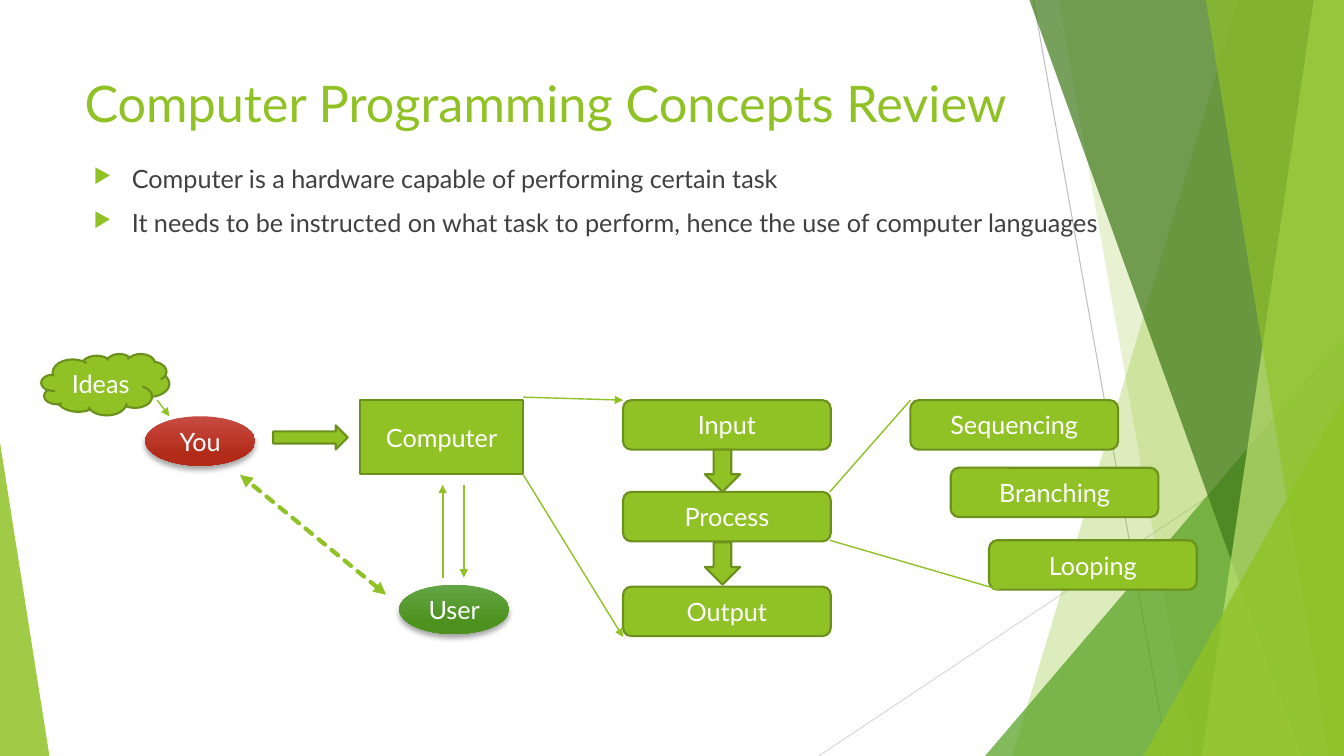
from pptx import Presentation
from pptx.dml.color import RGBColor
from pptx.enum.dml import MSO_LINE
from pptx.enum.shapes import MSO_CONNECTOR, MSO_SHAPE
from pptx.enum.text import MSO_ANCHOR, PP_ALIGN
from pptx.oxml.ns import qn
from pptx.util import Inches, Pt
from lxml import etree

ROUNDED = MSO_SHAPE.ROUNDED_RECTANGLE
DOWN = MSO_SHAPE.DOWN_ARROW
TRIANGLE = MSO_SHAPE.ISOSCELES_TRIANGLE
STRAIGHT = MSO_CONNECTOR.STRAIGHT
CENTER = PP_ALIGN.CENTER
LEFT = PP_ALIGN.LEFT
MIDDLE = MSO_ANCHOR.MIDDLE
TOP = MSO_ANCHOR.TOP
DASHED = MSO_LINE.SQUARE_DOT

GREEN, DARK_GREEN, WHITE, GRAY = "90C226", "6B901C", "FFFFFF", "404040"
WIDTH, HEIGHT = 13.33, 7.5


def paint(fill, *colors):
    """One colour gives a solid fill, two give a downward gradient."""
    if len(colors) == 1:
        fill.solid()
        fill.fore_color.rgb = RGBColor.from_string(colors[0])
        return
    fill.gradient()
    fill.gradient_angle = 270
    for stop, color, position in zip(fill.gradient_stops, colors, (0, 0.78)):
        stop.color.rgb = RGBColor.from_string(color)
        stop.position = position


def write_text(shape, text, size=18, color=WHITE, align=CENTER, anchor=MIDDLE, before=0):
    frame = shape.text_frame
    frame.word_wrap = True
    frame.vertical_anchor = anchor
    frame.text = text
    for paragraph in frame.paragraphs:
        paragraph.alignment = align
        paragraph.space_before = Pt(before)
        font = paragraph.runs[0].font
        font.name, font.size = "Lato", Pt(size)
        paint(font.fill, color)


presentation = Presentation()
presentation.slide_width, presentation.slide_height = Inches(WIDTH), Inches(HEIGHT)
slide = presentation.slides.add_slide(presentation.slide_layouts[6])
shapes = slide.shapes

# Connectors: start, end, colour, width, arrowheads (backdrop lines come first)
backdrop_lines = [
    (10.25, 0, 11.58, 7.5, "BFBFBF", 0.75, ""),
    (13.33, 4.03, 8.12, 7.5, "D9D9D9", 0.75, ""),
]
diagram_lines = [
    (4.39, 5.73, 4.39, 4.81, GREEN, 1.5, "tail"),
    (4.6, 4.81, 4.6, 5.73, GREEN, 1.5, "tail"),
    (3.83, 5.9, 2.38, 4.71, GREEN, 3, "head tail"),
    (1.56, 3.97, 1.68, 4.13, GREEN, 1, "tail"),
    (5.19, 3.94, 6.18, 3.97, GREEN, 1, "tail"),
    (5.19, 4.71, 6.18, 6.32, GREEN, 1, "tail"),
    (8.23, 4.88, 9.03, 3.97, GREEN, 1, ""),
    (8.23, 5.36, 9.91, 5.85, GREEN, 1, ""),
]
connectors = []
for x1, y1, x2, y2, color, width, ends in backdrop_lines + diagram_lines:
    connector = shapes.add_connector(STRAIGHT, Inches(x1), Inches(y1), Inches(x2), Inches(y2))
    paint(connector.line.fill, color)
    connector.line.width = Pt(width)
    properties = connector._element.spPr
    line = properties.find(qn("a:ln"))
    if "head" in ends:
        connector.line.dash_style = DASHED
        line.set("cap", "rnd")
    for end in ends.split():
        etree.SubElement(line, qn(f"a:{end}End"), type="triangle")
    etree.SubElement(properties, qn("a:effectLst"))
    connectors.append(connector)

# Backdrop bands reach the right edge: top x, bottom x, colour, opacity
# Backdrop triangles: left, top, width, apex position, colour, opacity
backdrop = [
    (12.28, 10.04, GREEN, 30),
    (10.5, 11.83, GREEN, 20),
    (9.77, 3.33, 3.56, 1, "54A021", 72),
    (10.21, 12.91, "3F7819", 70),
    (13.03, 11.92, "C0E474", 70),
    (11.96, 13.18, GREEN, 65),
    (11.34, 3.93, 1.99, 1, GREEN, 80),
    (0, 4.39, 0.49, 0, GREEN, 85),
]
for *outline, color, opacity in backdrop:
    if len(outline) == 2:
        top_x, bottom_x = outline
        builder = shapes.build_freeform(Inches(top_x), 0)
        corners = [(WIDTH, 0), (WIDTH, HEIGHT), (bottom_x, HEIGHT)]
        builder.add_line_segments([(Inches(x), Inches(y)) for x, y in corners], close=True)
        shape = builder.convert_to_shape()
    else:
        left, top, width, apex = outline
        shape = shapes.add_shape(TRIANGLE, Inches(left), Inches(top),
                                 Inches(width), Inches(HEIGHT - top))
        shape.adjustments[0] = apex
    paint(shape.fill, color)
    shape.line.fill.background()
    shape.shadow.inherit = False
    tint = shape._element.spPr.find(f"{qn('a:solidFill')}/{qn('a:srgbClr')}")
    etree.SubElement(tint, qn("a:alpha"), val=str(opacity * 1000))

# Title and bullet list
title = shapes.add_textbox(Inches(0.74), Inches(0.67), Inches(9.4), Inches(1.44))
write_text(title, "Computer Programming Concepts Review", size=36, color=GREEN,
           align=LEFT, anchor=TOP)
body = shapes.add_textbox(Inches(0.83), Inches(1.57), Inches(10.5), Inches(4.24))
write_text(body, "Computer is a hardware capable of performing certain task\n"
           "It needs to be instructed on what task to perform, hence the use of computer languages",
           color=GRAY, align=LEFT, anchor=TOP, before=10)
for paragraph in body.text_frame.paragraphs:
    properties = paragraph._p.get_or_add_pPr()
    properties.set("marL", str(Inches(0.38)))
    properties.set("indent", str(Inches(-0.38)))
    bullet_color = etree.SubElement(properties, qn("a:buClr"))
    etree.SubElement(bullet_color, qn("a:srgbClr"), val=GREEN)
    etree.SubElement(properties, qn("a:buSzPct"), val="80000")
    etree.SubElement(properties, qn("a:buChar"), char="▶")

# Diagram nodes and block arrows
nodes = [
    (ROUNDED, 6.18, 3.97, 2.06, 0.49, "Input"),
    (ROUNDED, 6.18, 4.88, 2.06, 0.49, "Process"),
    (ROUNDED, 6.18, 5.82, 2.06, 0.49, "Output"),
    (DOWN, 6.99, 4.46, 0.35, 0.42, ""),
    (DOWN, 6.99, 5.38, 0.35, 0.42, ""),
    (MSO_SHAPE.RECTANGLE, 3.57, 3.97, 1.62, 0.73, "Computer"),
    (MSO_SHAPE.RIGHT_ARROW, 2.71, 4.22, 0.74, 0.24, ""),
    (ROUNDED, 9.03, 3.97, 2.06, 0.49, "Sequencing"),
    (ROUNDED, 9.43, 4.64, 2.06, 0.49, "Branching"),
    (ROUNDED, 9.81, 5.36, 2.06, 0.49, "Looping"),
    (MSO_SHAPE.CLOUD, 0.41, 3.51, 1.27, 0.61, "Ideas"),
]
for kind, left, top, width, height, label in nodes:
    shape = shapes.add_shape(kind, Inches(left), Inches(top), Inches(width), Inches(height))
    paint(shape.fill, GREEN)
    paint(shape.line.fill, DARK_GREEN)
    shape.line.width = Pt(1.5)
    shape.shadow.inherit = False
    if label:
        write_text(shape, label)

# People: gradient ellipses with a soft shadow below
people = [
    (1.44, 4.13, "You", "C74B42", "B32B18"),
    (3.96, 5.8, "User", "63A545", "4D921E"),
]
for left, top, label, light, dark in people:
    shape = shapes.add_shape(MSO_SHAPE.OVAL, Inches(left), Inches(top), Inches(1.09), Inches(0.49))
    paint(shape.fill, light, dark)
    shape.line.fill.background()
    shape.shadow.inherit = False
    effects = shape._element.spPr.find(qn("a:effectLst"))
    shadow = etree.SubElement(effects, qn("a:outerShdw"), blurRad=str(Pt(4)), dist=str(Pt(3)),
                              dir="5400000", rotWithShape="0")
    shadow_color = etree.SubElement(shadow, qn("a:srgbClr"), val="000000")
    etree.SubElement(shadow_color, qn("a:alpha"), val="35000")
    write_text(shape, label)

# Diagram connectors lie above the nodes
for connector in connectors[len(backdrop_lines):]:
    shapes._spTree.append(connector._element)

presentation.save("out.pptx")
